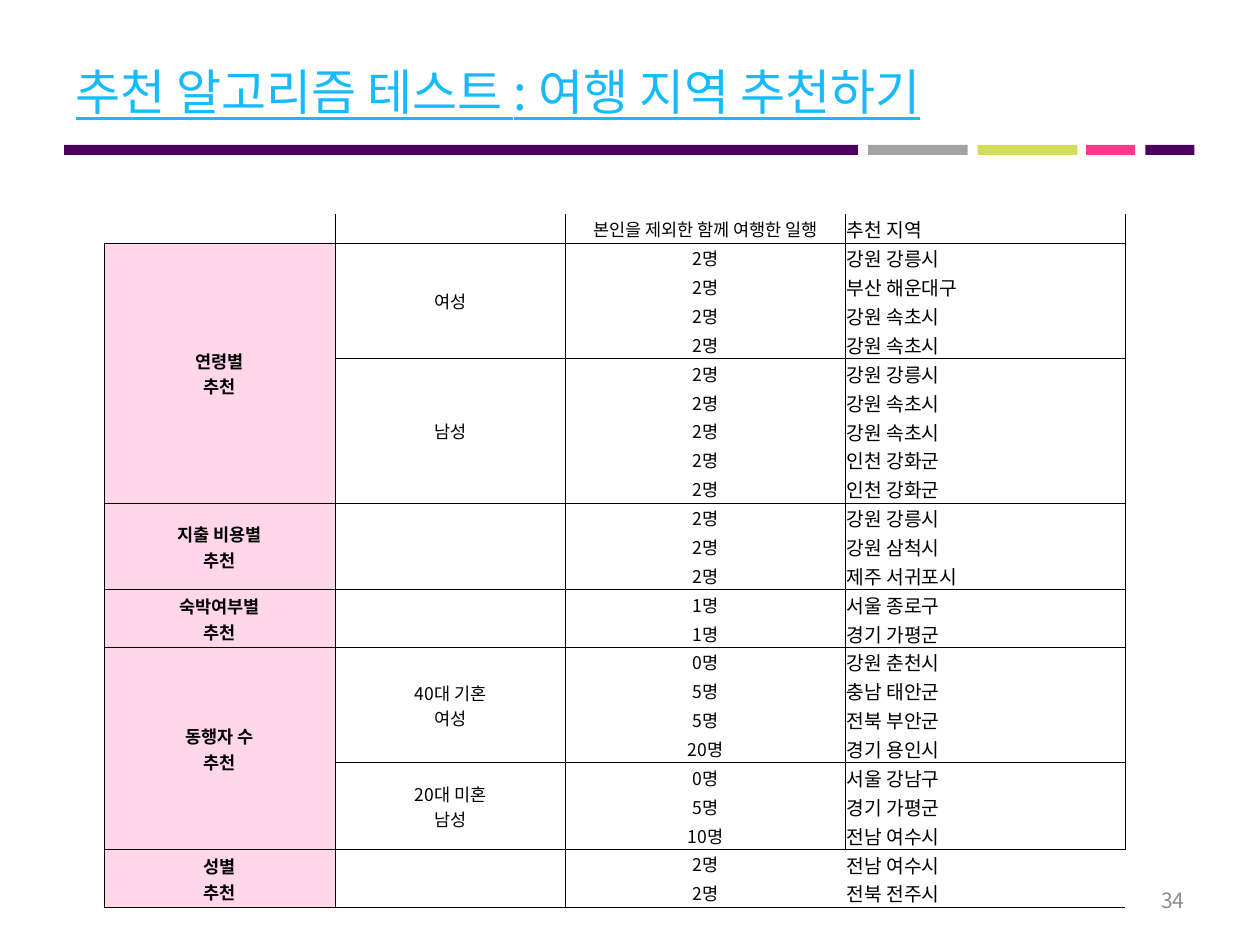
import pptx
import pptx.dml.color
import pptx.enum.shapes
import pptx.enum.text
import pptx.oxml.ns
import pptx.util
from lxml import etree
from pptx.util import Inches, Pt

FONT = "Noto Sans CJK KR"
ALIGN = pptx.enum.text.PP_ALIGN
MIDDLE = pptx.enum.text.MSO_ANCHOR.MIDDLE
PLAIN_STYLE = "{2D5ABB26-0587-4C30-8999-92F81FD0307C}"
BARS = [
    (0.51, 6.3, "4E005F"),
    (6.89, 0.79, "A3A3A3"),
    (7.76, 0.79, "D1DD5B"),
    (8.62, 0.39, "FF388C"),
    (9.09, 0.39, "4E005F"),
]
WIDTHS = [1.83, 1.83, 2.22, 2.22]
HEIGHT = 5.5
HEADS = ["", "", "본인을 제외한 함께 여행한 일행", "추천 지역"]
# Group name, then its blocks: block name and rows of (party size, region)
GROUPS = [
    ("연령별\n추천", [
        ("여성", [(2, "강원 강릉시"), (2, "부산 해운대구"),
                (2, "강원 속초시"), (2, "강원 속초시")]),
        ("남성", [(2, "강원 강릉시"), (2, "강원 속초시"), (2, "강원 속초시"),
                (2, "인천 강화군"), (2, "인천 강화군")]),
    ]),
    ("지출 비용별\n추천", [
        ("", [(2, "강원 강릉시"), (2, "강원 삼척시"), (2, "제주 서귀포시")]),
    ]),
    ("숙박여부별\n추천", [
        ("", [(1, "서울 종로구"), (1, "경기 가평군")]),
    ]),
    ("동행자 수\n추천", [
        ("40대 기혼\n여성", [(0, "강원 춘천시"), (5, "충남 태안군"),
                         (5, "전북 부안군"), (20, "경기 용인시")]),
        ("20대 미혼\n남성", [(0, "서울 강남구"), (5, "경기 가평군"),
                         (10, "전남 여수시")]),
    ]),
    ("성별\n추천", [
        ("", [(2, "전남 여수시"), (2, "전북 전주시")]),
    ]),
]


def color(code):
    return pptx.dml.color.RGBColor.from_string(code)


def sub(node, tag, **attrs):
    return etree.SubElement(node, pptx.oxml.ns.qn(tag), **attrs)


def write(frame, text, size, code="000000", align=ALIGN.LEFT, bold=False):
    para = frame.paragraphs[0]
    para.text = text
    para.alignment = align
    for run in para.runs:
        font = run.font
        font.size, font.bold, font.name = Pt(size), bold, FONT
        font.color.rgb = color(code)
        font._element.set("kern", "0")
        sub(font._element, "a:ea", typeface=FONT)
    if not text:
        # Keeps an empty cell from stretching its row
        sub(para._p, "a:endParaRPr", sz=str(size * 100))


def add_bar(slide, left, width, code):
    kind = pptx.enum.shapes.MSO_SHAPE.RECTANGLE
    bar = slide.shapes.add_shape(
        kind, Inches(left), Inches(1.15), Inches(width), Inches(0.08))
    bar.shadow.inherit = False
    bar.fill.solid()
    bar.fill.fore_color.rgb = color(code)
    bar.line.fill.background()


def set_title(slide, text):
    title = slide.shapes.title
    title.left, title.top = Inches(0.5), Inches(0.3)
    title.width, title.height = Inches(9), Inches(0.85)
    title.text_frame.vertical_anchor = MIDDLE
    write(title.text_frame, text, 28, "17BBFD")
    title.text_frame.paragraphs[0].runs[0].font.underline = True


def add_number(slide, text):
    box = slide.shapes.add_textbox(
        Inches(9.11), Inches(7), Inches(0.39), Inches(0.29))
    box.text_frame.word_wrap = True
    box.text_frame.vertical_anchor = MIDDLE
    write(box.text_frame, text, 12, "8C8C8C", ALIGN.RIGHT)


def set_cell(cell, text, col):
    cell.margin_left = cell.margin_right = cell.margin_top = Inches(0.01)
    cell.margin_bottom = 0
    cell.vertical_anchor = MIDDLE
    if col == 3:
        write(cell.text_frame, text, 11)
    else:
        write(cell.text_frame, text, 10, align=ALIGN.CENTER, bold=col == 0)


def set_edges(cell, sides):
    """Draw thin black borders on the sides named, out of L, R, T and B."""
    props = cell._tc.get_or_add_tcPr()
    for side in "LRTB":
        line = sub(props, "a:ln" + side, w=str(Pt(0.5)))
        if side in sides:
            sub(sub(line, "a:solidFill"), "a:srgbClr", val="000000")
        else:
            sub(line, "a:noFill")


def span(table, col, top, count):
    table.cell(top, col).merge(table.cell(top + count - 1, col))


def fill_block(table, top, name, rows, last):
    """Fill columns 1 to 3 of one block; the last group is open on the right."""
    for step, (count, place) in enumerate(rows):
        ends = "T" * (step == 0) + "B" * (step == len(rows) - 1)
        texts = [name if step == 0 else "", f"{count}명", place]
        sides = ["LR", "L", ""] if last else ["LR"] * 3
        if name:
            sides[0] = "LRTB"
        for col, (text, side) in enumerate(zip(texts, sides), 1):
            cell = table.cell(top + step, col)
            set_cell(cell, text, col)
            set_edges(cell, side + ends)
    if name:
        span(table, 1, top, len(rows))


def fill_group(table, top, name, count):
    for step in range(count):
        cell = table.cell(top + step, 0)
        set_cell(cell, name if step == 0 else "", 0)
        set_edges(cell, "LRTB")
        cell.fill.solid()
        cell.fill.fore_color.rgb = color("FFD7E8")
    span(table, 0, top, count)


def add_grid(slide):
    total = 1 + sum(len(rows) for _, blocks in GROUPS for _, rows in blocks)
    frame = slide.shapes.add_table(
        total, len(WIDTHS), Inches(0.83), Inches(1.7),
        Inches(sum(WIDTHS)), Inches(HEIGHT))
    table = frame.table
    table.first_row = table.horz_banding = False
    table._tbl.tblPr.find(pptx.oxml.ns.qn("a:tableStyleId")).text = PLAIN_STYLE
    for col, width in zip(table.columns, WIDTHS):
        col.width = Inches(width)
    for row in table.rows:
        row.height = Inches(HEIGHT / total)
    for col, text in enumerate(HEADS):
        set_cell(table.cell(0, col), text, col)
        set_edges(table.cell(0, col), "LRB" if col else "RB")
    top = 1
    for group in GROUPS:
        name, blocks = group
        start = top
        for label, rows in blocks:
            fill_block(table, top, label, rows, group is GROUPS[-1])
            top += len(rows)
        fill_group(table, start, name, top - start)


def main():
    deck = pptx.Presentation()
    deck.slide_width, deck.slide_height = Inches(10), Inches(7.5)
    slide = deck.slides.add_slide(deck.slide_layouts[5])
    for bar in BARS:
        add_bar(slide, *bar)
    set_title(slide, "추천 알고리즘 테스트 : 여행 지역 추천하기")
    add_number(slide, "34")
    add_grid(slide)
    deck.save("out.pptx")


if __name__ == "__main__":
    main()
